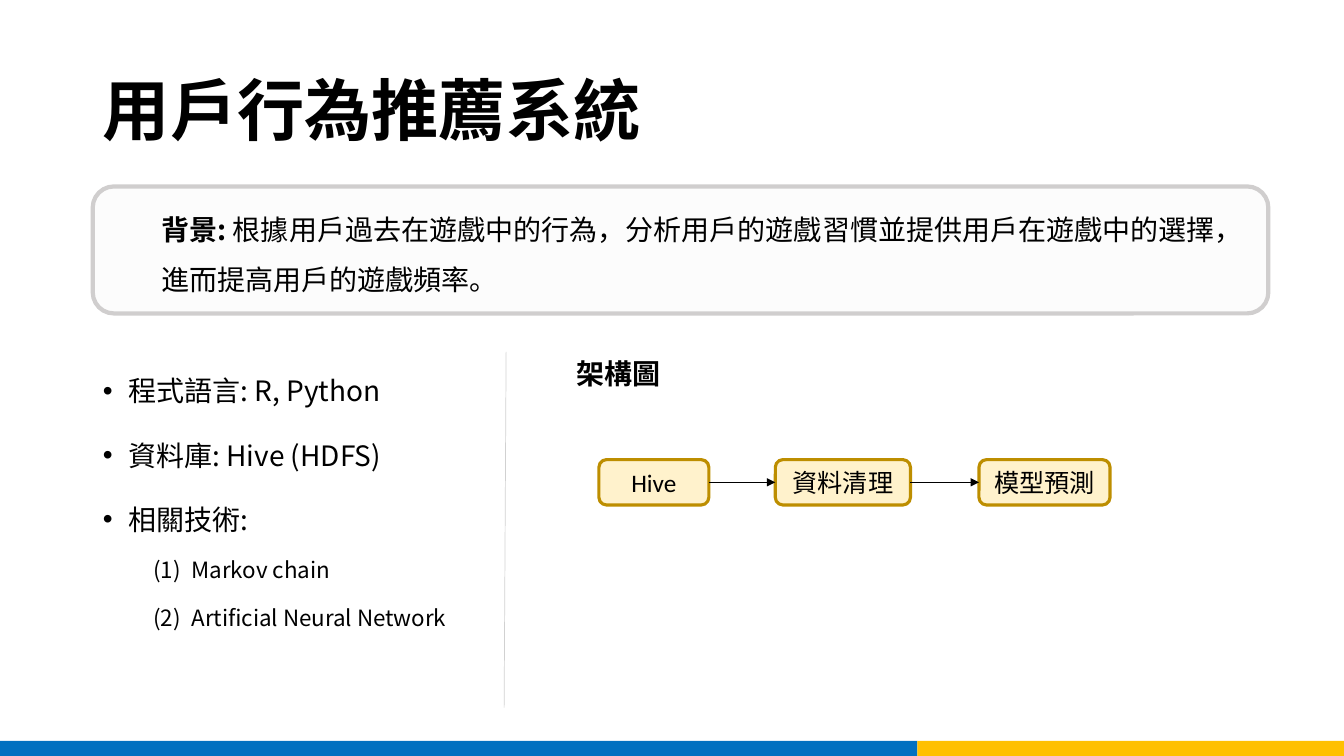
from dataclasses import dataclass
from itertools import pairwise

from lxml import etree
from pptx import Presentation
from pptx import util as u
from pptx.dml import color
from pptx.enum import shapes, text
from pptx.oxml import ns


@dataclass(frozen=True)
class Theme:
    font: str = "Noto Sans CJK SC"
    latin_font: str = "Calibri"
    ink: str = "000000"
    blue: str = "0070C0"
    gold: str = "FFC000"
    panel_fill: str = "E7E6E6"
    panel_line: str = "D0CECE"
    step_fill: str = "FFF2CC"
    step_line: str = "BD8E00"
    divider: str = "A5A5A5"
    title_size: int = 48
    body_size: int = 20
    step_size: int = 18
    detail_size: int = 16


def rgb(value):
    return color.RGBColor.from_string(value)


def add_xml(parent, tag, **attributes):
    return etree.SubElement(parent, ns.qn(tag), attributes)


def set_opacity(fill_owner, percent):
    """Make the solid colour found inside an XML element partly transparent."""
    solid = next(fill_owner.iter(ns.qn("a:srgbClr")))
    add_xml(solid, "a:alpha", val=str(percent * 1000))


class SlideBuilder:
    def __init__(self, slide, theme):
        self.slide = slide
        self.theme = theme

    def place(self, shape, left, top, width, height):
        box = {"left": left, "top": top, "width": width, "height": height}
        for name, value in box.items():
            setattr(shape, name, u.Inches(value))

    def run(self, paragraph, wording, size, bold=False, font=None):
        run = paragraph.add_run()
        run.text = wording
        run.font.color.rgb = rgb(self.theme.ink)
        face = font or self.theme.font
        for name, value in {"size": u.Pt(size), "bold": bold, "name": face}.items():
            setattr(run.font, name, value)
        add_xml(run.font._element, "a:ea", typeface=face)

    def format_paragraph(self, paragraph, margin=0, hanging=0, bullet=None, **formats):
        """Set indents and bullet; bullet is a character or an autonumber type."""
        properties = paragraph._p.get_or_add_pPr()
        properties.set("marL", str(u.Inches(margin)))
        properties.set("indent", str(-u.Inches(hanging)))
        if bullet is None:
            add_xml(properties, "a:buNone")
        elif len(bullet) == 1:
            add_xml(properties, "a:buFont", typeface="Arial")
            add_xml(properties, "a:buChar", char=bullet)
        else:
            add_xml(properties, "a:buFont", typeface=self.theme.font)
            add_xml(properties, "a:buAutoNum", type=bullet)
        for name, value in formats.items():
            setattr(paragraph, name, value)

    def frame(self, shape, anchor=text.MSO_ANCHOR.TOP, wrap=True):
        frame = shape.text_frame
        formats = {"word_wrap": wrap, "vertical_anchor": anchor,
                   "auto_size": text.MSO_AUTO_SIZE.NONE}
        for name, value in formats.items():
            setattr(frame, name, value)
        return frame

    def title(self, wording, box):
        shape = self.slide.shapes.title
        self.place(shape, *box)
        paragraph = self.frame(shape, text.MSO_ANCHOR.MIDDLE).paragraphs[0]
        self.format_paragraph(paragraph, line_spacing=0.9, alignment=text.PP_ALIGN.LEFT)
        self.run(paragraph, wording, self.theme.title_size, bold=True)

    def background(self, label, wording, box):
        shape = self.slide.placeholders[1]
        self.place(shape, *box)
        paragraph = self.frame(shape).paragraphs[0]
        self.format_paragraph(paragraph, line_spacing=1.5, space_before=u.Pt(0))
        self.run(paragraph, label, self.theme.body_size, bold=True)
        self.run(paragraph, wording, self.theme.body_size)

    def outline(self, items, box):
        """Fill the second body placeholder with (level, wording) items."""
        theme = self.theme
        levels = [
            (theme.body_size, 10, {"margin": 0.25, "hanging": 0.25, "bullet": "•"}),
            (theme.detail_size, 5, {"margin": 0.88, "hanging": 0.38,
                                    "bullet": "arabicParenBoth"}),
        ]
        shape = self.slide.placeholders[2]
        self.place(shape, *box)
        frame = self.frame(shape)
        for index, (level, wording) in enumerate(items):
            paragraph = frame.add_paragraph() if index else frame.paragraphs[0]
            size, gap, indents = levels[level]
            self.format_paragraph(paragraph, **indents, level=level, line_spacing=1.5,
                                  space_before=u.Pt(gap if index else 0))
            self.run(paragraph, wording, size)

    def heading(self, wording, box):
        shape = self.slide.shapes.add_textbox(*map(u.Inches, box))
        paragraph = self.frame(shape, wrap=False).paragraphs[0]
        self.run(paragraph, wording, self.theme.body_size, bold=True)

    def shape(self, kind, box, fill, line=None, width=0):
        shape = self.slide.shapes.add_shape(kind, *map(u.Inches, box))
        shape.shadow.inherit = False
        shape.fill.solid()
        shape.fill.fore_color.rgb = rgb(fill)
        if line:
            shape.line.color.rgb = rgb(line)
            shape.line.width = u.Pt(width)
        else:
            shape.line.fill.background()
        return shape

    def bar(self, left, width, fill):
        self.shape(shapes.MSO_SHAPE.RECTANGLE, (left, 7.35, width, 0.15), fill)

    def panel(self, box):
        """Add the tinted frame behind the text placeholders."""
        panel = self.shape(shapes.MSO_SHAPE.ROUNDED_RECTANGLE, box,
                           self.theme.panel_fill, self.theme.panel_line, 3)
        set_opacity(panel.element.spPr, 10)
        panel.element.getparent().insert(2, panel.element)

    def step(self, wording, left, width, font):
        box = self.shape(shapes.MSO_SHAPE.ROUNDED_RECTANGLE, (left, 4.56, width, 0.45),
                         self.theme.step_fill, self.theme.step_line, 2.25)
        paragraph = self.frame(box, text.MSO_ANCHOR.MIDDLE).paragraphs[0]
        paragraph.alignment = text.PP_ALIGN.CENTER
        self.run(paragraph, wording, self.theme.step_size, font=font)
        return box

    def line(self, start, end, line_color):
        line = self.slide.shapes.add_connector(
            shapes.MSO_CONNECTOR.STRAIGHT, *map(u.Inches, start + end))
        line.line.color.rgb = rgb(line_color)
        line.line.width = u.Pt(0.5)
        add_xml(line.element.spPr, "a:effectLst")
        return line

    def divider(self, start, end):
        line = self.line(start, end, self.theme.divider)
        set_opacity(line.element.spPr, 50)

    def arrow(self, source, target):
        arrow = self.line((0, 0), (0, 0), self.theme.ink)
        arrow.begin_connect(source, 3)
        arrow.end_connect(target, 1)
        add_xml(arrow.line._get_or_add_ln(), "a:tailEnd", type="triangle")


def main():
    presentation = Presentation()
    presentation.slide_width = u.Inches(13.33)
    presentation.slide_height = u.Inches(7.5)
    theme = Theme()
    two_content = presentation.slide_layouts[3]
    builder = SlideBuilder(presentation.slides.add_slide(two_content), theme)

    builder.bar(0, 9.1, theme.blue)
    builder.bar(9.1, 4.23, theme.gold)
    builder.panel((0.92, 1.85, 11.66, 1.26))
    builder.title("用戶行為推薦系統", (0.92, 0.4, 11.5, 1.45))
    builder.background(
        "背景: ",
        "根據用戶過去在遊戲中的行為，分析用戶的遊戲習慣並提供用戶在遊戲中的選擇，進而提高用戶的遊戲頻率。",
        (1.5, 1.89, 10.92, 1.22))
    builder.outline([
        (0, "程式語言: R, Python"),
        (0, "資料庫: Hive (HDFS)"),
        (0, "相關技術:"),
        (1, "Markov chain"),
        (1, "Artificial Neural Network"),
    ], (0.92, 3.49, 4.36, 3.52))
    builder.heading("架構圖", (5.62, 3.49, 1.04, 0.44))
    builder.divider((5.02, 3.49), (5, 7.02))

    steps = [("Hive", 5.94, 1.09, theme.latin_font),
             ("資料清理", 7.69, 1.34, theme.font),
             ("模型預測", 9.71, 1.3, theme.font)]
    boxes = [builder.step(*step) for step in steps]
    for source, target in pairwise(boxes):
        builder.arrow(source, target)

    presentation.save("out.pptx")


if __name__ == "__main__":
    main()
